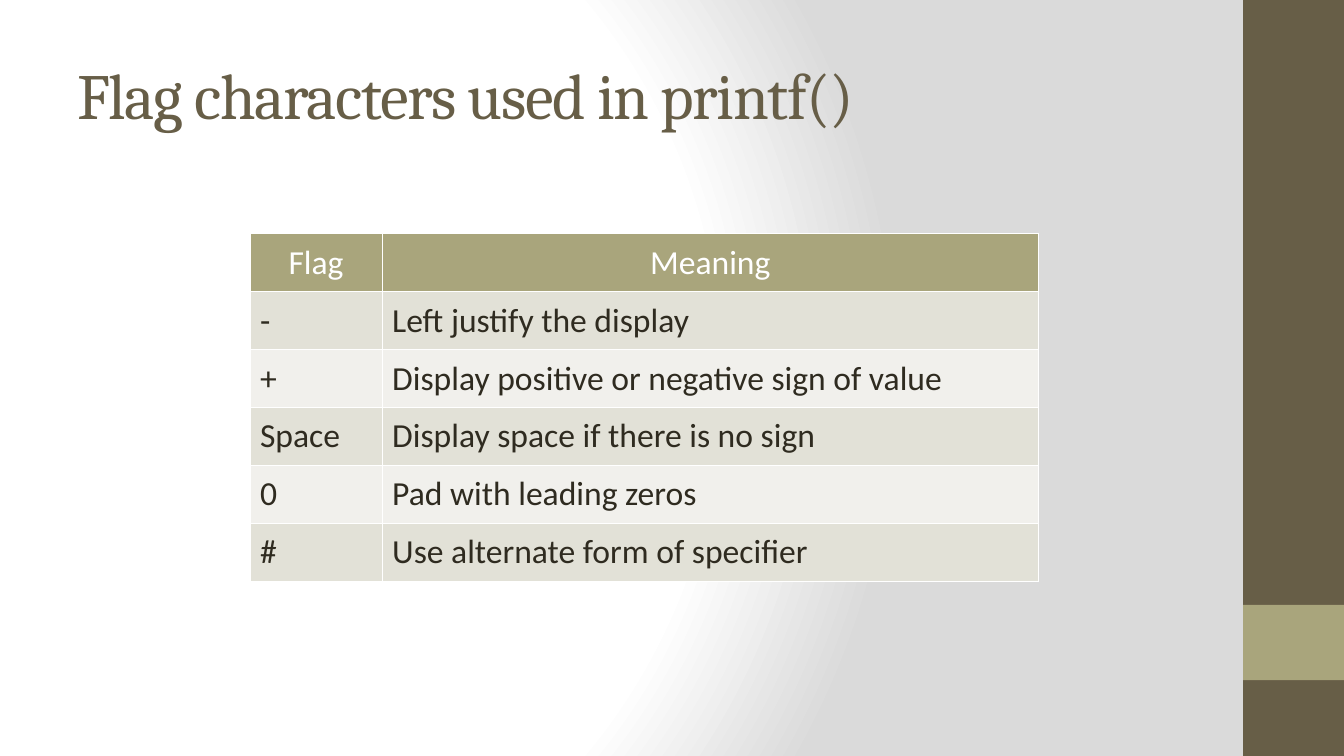
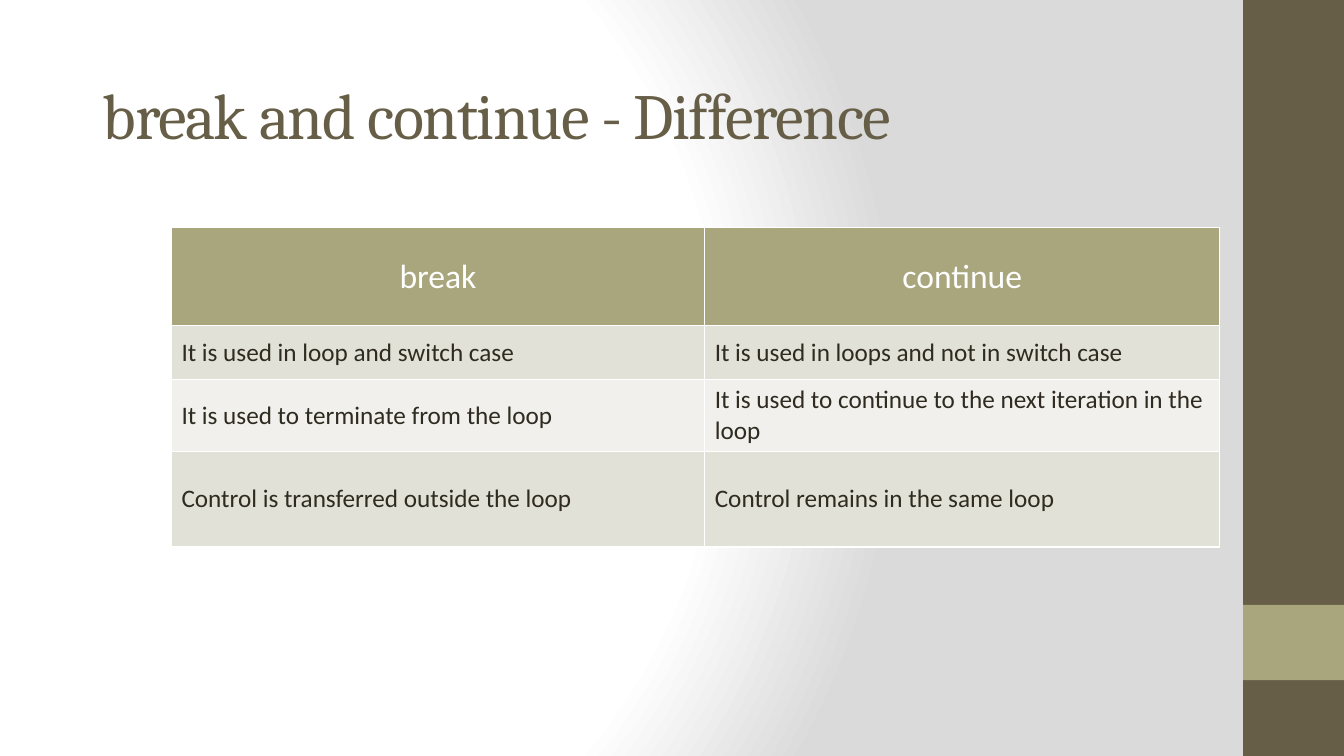
import copy
from dataclasses import dataclass

import lxml.etree
import pptx
import pptx.dml.color
import pptx.enum.shapes
import pptx.enum.text
import pptx.oxml
import pptx.oxml.ns
import pptx.util

Cm = pptx.util.Cm
Pt = pptx.util.Pt
qn = pptx.oxml.ns.qn
ALIGN = pptx.enum.text.PP_ALIGN
MIDDLE = pptx.enum.text.MSO_ANCHOR.MIDDLE


@dataclass(frozen=True)
class Theme:
    dark: str = "675E47"
    accent: str = "A9A57C"
    text: str = "2F2B20"
    white: str = "FFFFFF"
    shade: str = "DADADA"
    row_fills: tuple = ("E2E1D7", "F1F0EC")
    title_font: str = "Cambria"
    body_font: str = "Calibri"
    title_size: int = 46
    title_spacing: int = -100
    header_size: int = 24
    border_width: int = 1


THEME = Theme()
SLIDE_WIDTH, SLIDE_HEIGHT = 33.87, 19.05
BAND_WIDTH = 2.54

FLAG_ROWS = [
    ("Flag", "Meaning"),
    ("-", "Left justify the display"),
    ("+", "Display positive or negative sign of value"),
    ("Space", "Display space if there is no sign"),
    ("0", "Pad with leading zeros"),
    ("#", "Use alternate form of specifier"),
]
JUMP_ROWS = [
    ("break", "continue"),
    ("It is used in loop and switch case", "It is used in loops and not in switch case"),
    ("It is used to terminate from the loop",
     "It is used to continue to the next iteration in the loop"),
    ("Control is transferred outside the loop", "Control remains in the same loop"),
]


def rgb(color):
    return pptx.dml.color.RGBColor.from_string(color)


def style_font(paragraph, name, size, color):
    font = paragraph.font
    font.name, font.size, font.bold = name, Pt(size), False
    font.color.rgb = rgb(color)


# Background shared by all slides
def set_background(master):
    master.background.fill.gradient()
    gradient = master.element.find(".//" + qn("p:bgPr")).find(qn("a:gradFill"))
    stops = "".join(
        f'<a:gs pos="{position}"><a:srgbClr val="{color}"/></a:gs>'
        for position, color in ((0, THEME.white), (75000, THEME.white), (100000, THEME.shade))
    )
    radial = pptx.oxml.parse_xml(
        f'<a:gradFill xmlns:a="{pptx.oxml.ns.nsdecls("a").split(chr(34))[1]}" rotWithShape="1">'
        f'<a:gsLst>{stops}</a:gsLst><a:path path="circle">'
        '<a:fillToRect l="20000" t="50000" r="100000" b="50000"/></a:path></a:gradFill>'
    )
    gradient.getparent().replace(gradient, radial)


# Side band with its lighter block
def add_side_band(slide):
    left = SLIDE_WIDTH - BAND_WIDTH
    for top, height, color in ((0, SLIDE_HEIGHT, THEME.dark), (15.24, 1.9, THEME.accent)):
        band = slide.shapes.add_shape(
            pptx.enum.shapes.MSO_SHAPE.RECTANGLE,
            Cm(left), Cm(top), Cm(BAND_WIDTH), Cm(height))
        band.shadow.inherit = False
        band.fill.solid()
        band.fill.fore_color.rgb = rgb(color)
        band.line.fill.background()


# Title placeholder
def set_title(slide, text, box):
    title = slide.shapes.title
    title.left, title.top, title.width, title.height = map(Cm, box)
    frame = title.text_frame
    frame.text = text
    frame.word_wrap = True
    frame.auto_size = pptx.enum.text.MSO_AUTO_SIZE.NONE
    frame.vertical_anchor = MIDDLE
    paragraph = frame.paragraphs[0]
    paragraph.alignment = ALIGN.LEFT
    style_font(paragraph, THEME.title_font, THEME.title_size, THEME.dark)
    paragraph._p.find(".//" + qn("a:defRPr")).set("spc", str(THEME.title_spacing))


def set_borders(cell):
    properties = cell._tc.get_or_add_tcPr()
    for index, side in enumerate(("lnL", "lnR", "lnT", "lnB")):
        line = lxml.etree.Element(qn(f"a:{side}"), w=str(Pt(THEME.border_width)))
        fill = lxml.etree.SubElement(line, qn("a:solidFill"))
        lxml.etree.SubElement(fill, qn("a:srgbClr"), val=THEME.white)
        properties.insert(index, line)


# Table with a coloured header and alternating rows
def add_banded_table(slide, rows, origin, column_widths, row_heights, body_size):
    left, top = origin
    table = slide.shapes.add_table(
        len(rows), len(column_widths), Cm(left), Cm(top),
        Cm(sum(column_widths)), Cm(sum(row_heights))).table
    for column, width in zip(table.columns, column_widths):
        column.width = Cm(width)
    for row_index, (values, height) in enumerate(zip(rows, row_heights)):
        table.rows[row_index].height = Cm(height)
        is_header = row_index == 0
        fill = THEME.accent if is_header else THEME.row_fills[(row_index - 1) % 2]
        for column_index, value in enumerate(values):
            cell = table.cell(row_index, column_index)
            cell.text = value
            cell.vertical_anchor = MIDDLE
            cell.fill.solid()
            cell.fill.fore_color.rgb = rgb(fill)
            set_borders(cell)
            paragraph = cell.text_frame.paragraphs[0]
            paragraph.alignment = ALIGN.CENTER if is_header else ALIGN.LEFT
            style_font(paragraph, THEME.body_font,
                       THEME.header_size if is_header else body_size,
                       THEME.white if is_header else THEME.text)


def add_table_slide(presentation, title, title_box, **table_options):
    slide = presentation.slides.add_slide(presentation.slide_layouts[5])
    add_side_band(slide)
    set_title(slide, title, title_box)
    add_banded_table(slide, **table_options)


def main():
    presentation = pptx.Presentation()
    presentation.slide_width, presentation.slide_height = Cm(SLIDE_WIDTH), Cm(SLIDE_HEIGHT)
    set_background(presentation.slide_master)
    add_table_slide(
        presentation, "Flag characters used in printf()", (1.7, 0.76, 28.22, 3.18),
        rows=FLAG_ROWS, origin=(6.3, 5.89), column_widths=(3.33, 16.54),
        row_heights=[1.46] * len(FLAG_ROWS), body_size=24)
    add_table_slide(
        presentation, "break and continue - Difference", (2.34, 1.02, 25.91, 3.68),
        rows=JUMP_ROWS, origin=(4.32, 5.74), column_widths=(13.44, 12.98),
        row_heights=(2.46, 1.37, 1.55, 2.41), body_size=18)
    presentation.save("out.pptx")


if __name__ == "__main__":
    main()
